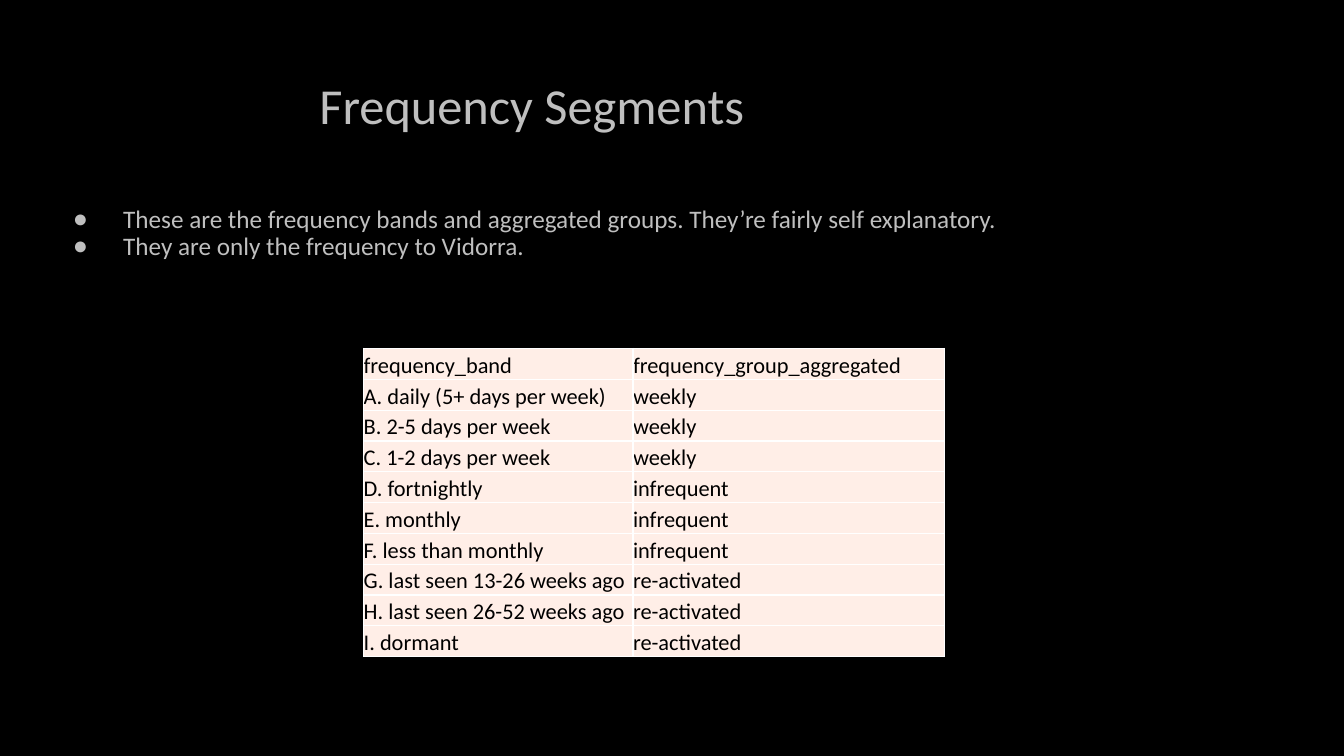
from lxml import etree
from pptx import Presentation
from pptx.dml.color import RGBColor
from pptx.enum.text import MSO_ANCHOR, MSO_AUTO_SIZE, PP_ALIGN
from pptx.oxml.ns import qn
from pptx.util import Pt

BLACK = RGBColor(0x00, 0x00, 0x00)
WHITE = RGBColor(0xFF, 0xFF, 0xFF)
GREY = RGBColor(0xBF, 0xBF, 0xBF)
BLUSH = RGBColor(0xFF, 0xEE, 0xE7)
FONT = "Calibri"

LEFT = PP_ALIGN.LEFT
TOP, MIDDLE, BOTTOM = MSO_ANCHOR.TOP, MSO_ANCHOR.MIDDLE, MSO_ANCHOR.BOTTOM
NO_AUTOFIT = MSO_AUTO_SIZE.NONE

BULLETS = [
    "These are the frequency bands and aggregated groups. They’re fairly self explanatory.",
    "They are only the frequency to Vidorra.",
]
FREQUENCY_ROWS = [
    ("frequency_band", "frequency_group_aggregated"),
    ("A. daily (5+ days per week)", "weekly"),
    ("B. 2-5 days per week", "weekly"),
    ("C. 1-2 days per week", "weekly"),
    ("D. fortnightly", "infrequent"),
    ("E. monthly", "infrequent"),
    ("F. less than monthly", "infrequent"),
    ("G. last seen 13-26 weeks ago", "re-activated"),
    ("H. last seen 26-52 weeks ago", "re-activated"),
    ("I. dormant", "re-activated"),
]


def set_margins(target, margin):
    target.margin_left = target.margin_right = Pt(margin)
    target.margin_top = target.margin_bottom = Pt(margin)


def format_runs(paragraph, size, color):
    for run in paragraph.runs:
        run.font.name = FONT
        run.font.size = Pt(size)
        run.font.color.rgb = color


def fill_placeholder(shape, text, left, top, width, height, size, anchor):
    shape.left, shape.top = Pt(left), Pt(top)
    shape.width, shape.height = Pt(width), Pt(height)
    text_frame = shape.text_frame
    text_frame.text = text
    text_frame.word_wrap = True
    text_frame.auto_size = NO_AUTOFIT
    text_frame.vertical_anchor = anchor
    set_margins(text_frame, 7.2)
    for paragraph in text_frame.paragraphs:
        paragraph.alignment = LEFT
        paragraph.line_spacing = 0.9
        paragraph.space_before = Pt(0)
        format_runs(paragraph, size, GREY)


def add_bullet(paragraph, hanging, text_indent):
    properties = paragraph._p.get_or_add_pPr()
    properties.set("marL", str(Pt(text_indent)))
    properties.set("indent", str(-Pt(hanging)))
    etree.SubElement(properties, qn("a:buChar")).set("char", "●")


def add_bullets(shape, left, top, width, height):
    fill_placeholder(shape, "\n".join(BULLETS), left, top, width, height, 18, TOP)
    for paragraph in shape.text_frame.paragraphs:
        add_bullet(paragraph, 36, 48.4)


def add_cell_borders(cell, color, width):
    """Put the four border lines ahead of the cell's fill, as the schema requires."""
    properties = cell._tc.get_or_add_tcPr()
    for position, side in enumerate(("a:lnL", "a:lnR", "a:lnT", "a:lnB")):
        line = etree.Element(qn(side), w=str(Pt(width)))
        fill = etree.SubElement(line, qn("a:solidFill"))
        etree.SubElement(fill, qn("a:srgbClr")).set("val", str(color))
        properties.insert(position, line)


def format_cell(cell, text):
    cell.text = text
    cell.vertical_anchor = BOTTOM
    set_margins(cell, 0)
    cell.fill.solid()
    cell.fill.fore_color.rgb = BLUSH
    add_cell_borders(cell, WHITE, 1)
    paragraph = cell.text_frame.paragraphs[0]
    format_runs(paragraph, 16, BLACK)
    for run in paragraph.runs:
        run.font.bold = False


def add_frequency_table(slide, left, top, column_widths, row_height):
    table = slide.shapes.add_table(
        len(FREQUENCY_ROWS), len(column_widths), Pt(left), Pt(top),
        Pt(sum(column_widths)), Pt(row_height * len(FREQUENCY_ROWS))).table
    table.first_row = False
    table.horz_banding = False
    for column, width in zip(table.columns, column_widths):
        column.width = Pt(width)
    for row, texts in zip(table.rows, FREQUENCY_ROWS):
        row.height = Pt(row_height)
        for cell, text in zip(row.cells, texts):
            format_cell(cell, text)


def build_frequency_slide(presentation):
    slide = presentation.slides.add_slide(presentation.slide_layouts[1])
    slide.background.fill.solid()
    slide.background.fill.fore_color.rgb = BLACK
    fill_placeholder(slide.shapes.title, "Frequency Segments",
                     221, 46.8, 706, 60.5, 36, MIDDLE)
    add_bullets(slide.placeholders[1], 32.4, 140.4, 894, 48)
    add_frequency_table(slide, 259.8, 249, (192.4, 222.6), 22)


def main():
    presentation = Presentation()
    presentation.slide_width = Pt(960)
    presentation.slide_height = Pt(540)
    build_frequency_slide(presentation)
    presentation.save("out.pptx")


if __name__ == "__main__":
    main()
